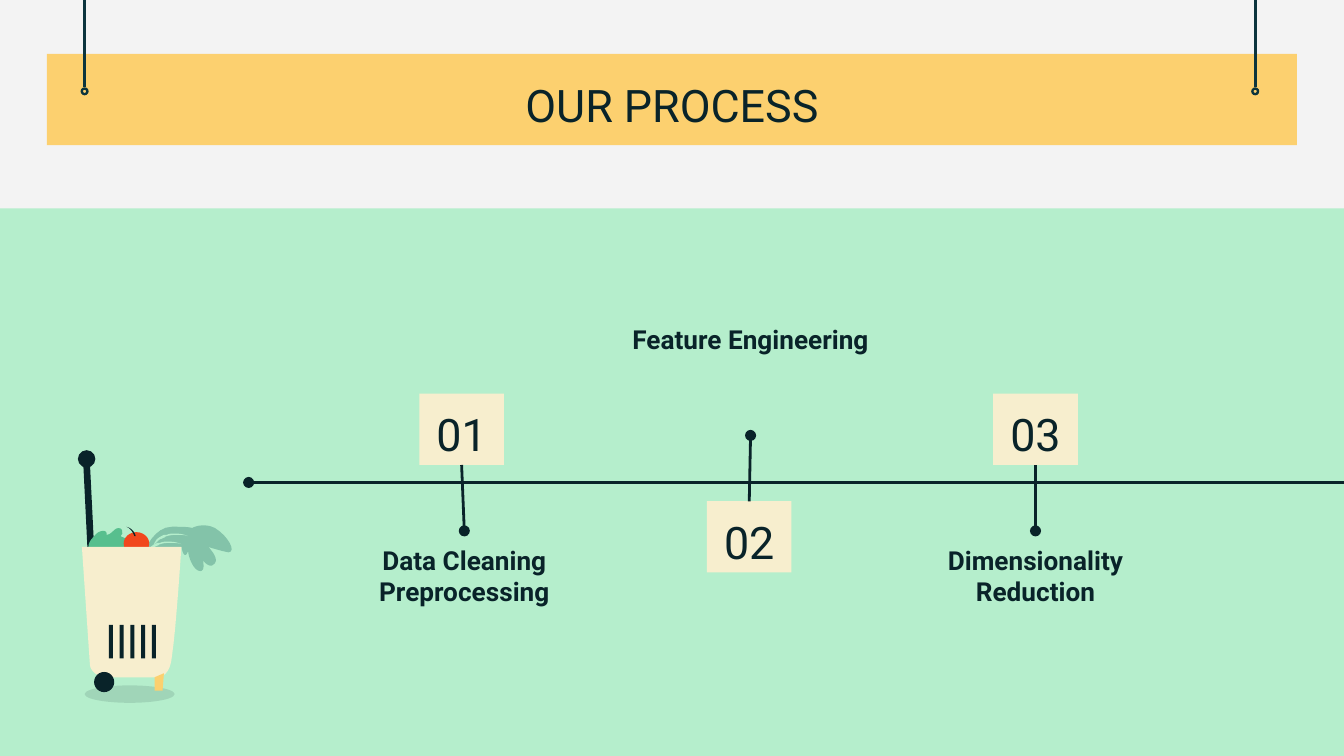
import dataclasses

import pptx
import pptx.dml.color
import pptx.enum.shapes
import pptx.enum.text
import pptx.oxml
import pptx.oxml.ns
import pptx.util

SHAPE = pptx.enum.shapes.MSO_SHAPE
ANCHOR = pptx.enum.text.MSO_ANCHOR
COLUMNS = 10  # square grid cells across the slide
WIDTH = pptx.util.Inches(10)
HEIGHT = WIDTH * 9 // 16
ROWS = COLUMNS * HEIGHT / WIDTH


@dataclasses.dataclass(frozen=True)
class Theme:
    paper: str = "F3F3F3"
    mint: str = "B5EECC"
    amber: str = "FCD06F"
    cream: str = "F7EECE"
    ink: str = "092329"
    cord: str = "0C343D"
    leek: str = "83C3A9"
    lettuce: str = "57BF8E"
    tomato: str = "F1471D"
    font: str = "Roboto"
    title_size: int = 24
    label_size: int = 14
    line_width: float = 1.5


THEME = Theme()

# Outlines: a pair is a straight step, six numbers are a cubic curve.
LEEK = [
    (1.51, 3.91), (1.46, 3.91, 1.43, 3.93, 1.43, 3.93),
    (1.43, 3.93, 1.42, 3.92, 1.31, 3.92), (1.3, 3.92, 1.29, 3.92, 1.28, 3.92),
    (1.15, 3.92, 1.08, 4.09, 1.08, 4.09), (1.08, 4.13, 1.1, 4.14, 1.13, 4.14),
    (1.18, 4.14, 1.25, 4.09, 1.25, 4.09), (1.25, 4.09, 1.31, 4.07, 1.35, 4.07),
    (1.36, 4.12, 1.37, 4.13, 1.38, 4.13), (1.39, 4.13, 1.4, 4.1, 1.4, 4.1),
    (1.4, 4.14, 1.44, 4.25, 1.49, 4.25), (1.53, 4.25, 1.51, 4.17, 1.51, 4.17),
    (1.51, 4.17, 1.54, 4.21, 1.57, 4.21), (1.58, 4.21, 1.59, 4.2, 1.6, 4.19),
    (1.63, 4.15, 1.55, 4.07, 1.55, 4.07), (1.55, 4.07, 1.64, 4.1, 1.7, 4.11),
    (1.76, 4.11, 1.7, 3.99, 1.6, 3.93), (1.56, 3.91, 1.53, 3.91, 1.51, 3.91),
]
LEEK_VEIN = [
    (1.3, 3.97), (1.28, 3.97, 1.26, 3.97, 1.24, 3.98),
    (1.23, 3.98, 1.22, 3.98, 1.22, 3.98), (1.2, 3.99),
    (1.18, 4, 1.17, 4.01, 1.16, 4.02), (1.16, 4.03, 1.15, 4.03, 1.15, 4.04),
    (1.14, 4.06), (1.13, 4.07, 1.12, 4.08, 1.12, 4.09),
    (1.13, 4.07, 1.15, 4.05, 1.17, 4.03), (1.18, 4.02, 1.19, 4.01, 1.2, 4.01),
    (1.22, 4), (1.23, 4, 1.23, 3.99, 1.24, 3.99),
    (1.27, 3.98, 1.29, 3.98, 1.32, 3.98), (1.35, 3.98, 1.38, 3.98, 1.4, 3.99),
    (1.38, 3.98, 1.35, 3.97, 1.3, 3.97),
]
LETTUCE = [
    (0.88, 3.93), (0.85, 3.93, 0.83, 3.98, 0.79, 3.98),
    (0.8, 3.97, 0.79, 3.95, 0.77, 3.95), (0.75, 3.95, 0.73, 3.96, 0.72, 3.97),
    (0.68, 4.01, 0.65, 4.04, 0.66, 4.09), (0.66, 4.1, 0.69, 4.14, 0.74, 4.15),
    (0.76, 4.15, 0.78, 4.15, 0.81, 4.15), (0.87, 4.15, 0.93, 4.14, 0.96, 4.11),
    (0.98, 4.09, 0.98, 4.05, 0.97, 4.03), (0.95, 4.01, 0.94, 4.01, 0.92, 4),
    (0.89, 3.99, 0.9, 3.99, 0.91, 3.97), (0.91, 3.95, 0.91, 3.93, 0.88, 3.93),
]
STALK = [
    (0.94, 3.92), (0.98, 3.93, 1, 3.99, 1, 3.99), (1.01, 3.99),
    (1.01, 3.98, 0.99, 3.93, 0.94, 3.92),
]
BASKET = [
    (0.61, 4.07), (0.67, 4.95), (0.67, 4.95, 0.68, 5.04, 0.81, 5.04),
    (1.17, 5.04), (1.2, 5.04, 1.27, 5.02, 1.28, 4.88),
    (1.31, 4.69, 1.35, 4.07, 1.35, 4.07),
]
HANDLE = [(0.62, 3.46), (0.65, 4.07), (0.7, 4.07), (0.67, 3.46)]
FOOT = [(1.22, 5.01), (1.15, 5.04), (1.15, 5.14), (1.21, 5.14)]


def cells(*counts):
    """Lengths for counts of grid cells."""
    return [round(n * WIDTH / COLUMNS) for n in counts]


def rgb(color):
    return pptx.dml.color.RGBColor.from_string(color)


def paint(sp, color, opacity=None):
    sp.shadow.inherit = False
    sp.fill.solid()
    sp.fill.fore_color.rgb = rgb(color)
    sp.line.fill.background()
    if opacity is not None:
        clr = sp._element.spPr.find(".//" + pptx.oxml.ns.qn("a:srgbClr"))
        add_child(clr, "alpha", val=str(opacity * 1000))
    return sp


def add_child(parent, tag, **attributes):
    child = pptx.oxml.parse_xml(f"<a:{tag} {pptx.oxml.ns.nsdecls('a')}/>")
    for name, value in attributes.items():
        child.set(name, value)
    parent.append(child)


def add_solid(shapes, kind, box, color, opacity=None):
    return paint(shapes.add_shape(kind, *cells(*box)), color, opacity)


def curve(start, bend, steps=8):
    """Points along a cubic curve, without its start."""
    corners = [start, bend[:2], bend[2:4], bend[4:]]
    for i in range(1, steps + 1):
        t = i / steps
        u = 1 - t
        weights = (u**3, 3 * u * u * t, 3 * u * t * t, t**3)
        yield tuple(sum(w * c[axis] for w, c in zip(weights, corners)) for axis in (0, 1))


def add_outline(shapes, outline, color, dx=0, dy=0):
    points = [outline[0]]
    for step in outline[1:]:
        points.extend([step] if len(step) == 2 else curve(points[-1], step))
    start, *rest = [cells(x + dx, y + dy) for x, y in points]
    builder = shapes.build_freeform(*start)
    builder.add_line_segments(rest, close=True)
    return paint(builder.convert_to_shape(), color)


def add_line(shapes, start, end, color, dot=False):
    """Straight line, with an optional dot at its start."""
    line = shapes.add_connector(
        pptx.enum.shapes.MSO_CONNECTOR.STRAIGHT, *cells(*start, *end))
    line.line.color.rgb = rgb(color)
    line.line.width = pptx.util.Pt(THEME.line_width)
    if dot:
        add_child(line.line._get_or_add_ln(), "headEnd", type="oval")
    add_child(line._element.spPr, "effectLst")
    return line


def write(sp, text, size, bold=False, anchor=ANCHOR.TOP):
    tf = sp.text_frame
    tf.word_wrap = True
    tf.vertical_anchor = anchor
    tf.margin_left = tf.margin_right = tf.margin_top = tf.margin_bottom = cells(0.1)[0]
    tf.text = text
    p = tf.paragraphs[0]
    p.alignment = pptx.enum.text.PP_ALIGN.CENTER
    font = p.runs[0].font
    font.name, font.size, font.bold = THEME.font, pptx.util.Pt(size), bold
    font.color.rgb = rgb(THEME.ink)


def add_banner(s):
    add_solid(s.shapes, SHAPE.RECTANGLE, (0.35, 0.4, COLUMNS - 0.7, 0.68), THEME.amber)
    for x in (0.63, COLUMNS - 0.66):
        add_line(s.shapes, (x, 0), (x, 0.65), THEME.cord)
        ring = add_solid(s.shapes, SHAPE.DONUT, (x - 0.03, 0.65, 0.06, 0.06), THEME.cord)
        ring.adjustments[0] = 0.3
    write(s.shapes.add_textbox(*cells(1.5, 0.46, 7, 0.63)), "OUR PROCESS",
          THEME.title_size, anchor=ANCHOR.MIDDLE)


def add_step(s, number, label, box_x, label_x, label_below):
    box_y, dot_y, label_y, side = (2.93, 3.95, 3.95, 2) if label_below else (3.73, 3.24, 2.31, 0)
    box_w, box_h, label_w = 0.63, 0.53, 2.37
    write(s.shapes.add_textbox(*cells(label_x, label_y, label_w, 0.87)), label,
          THEME.label_size, bold=True)
    box = add_solid(s.shapes, SHAPE.RECTANGLE, (box_x, box_y, box_w, box_h), THEME.cream)
    write(box, number, THEME.title_size)
    edge_y = box_y + box_h if label_below else box_y
    stem = add_line(s.shapes, (label_x + label_w / 2, dot_y),
                    (box_x + box_w / 2, edge_y), THEME.ink, dot=True)
    stem.end_connect(box, side)


def add_cart(s):
    cart = s.shapes.add_group_shape().shapes
    add_outline(cart, HANDLE, THEME.ink)
    add_outline(cart, LEEK, THEME.leek)
    for dx, dy in ((0, 0), (-0.05, 0.06)):
        add_outline(cart, LEEK_VEIN, THEME.mint, dx, dy)
    add_outline(cart, LETTUCE, THEME.lettuce)
    add_solid(cart, SHAPE.OVAL, (0.92, 3.96, 0.19, 0.17), THEME.tomato)
    add_outline(cart, STALK, THEME.ink)
    add_outline(cart, BASKET, THEME.cream)
    add_solid(cart, SHAPE.OVAL, (0.58, 3.35, 0.13, 0.13), THEME.ink)
    add_solid(cart, SHAPE.OVAL, (0.63, 5.1, 0.67, 0.13), THEME.ink, opacity=12)
    add_solid(cart, SHAPE.OVAL, (0.7, 5, 0.15, 0.15), THEME.ink)
    add_outline(cart, FOOT, THEME.amber)
    for i in range(5):
        add_solid(cart, SHAPE.RECTANGLE, (0.81 + 0.08 * i, 4.65, 0.03, 0.25), THEME.ink)


def main():
    prs = pptx.Presentation()
    prs.slide_width, prs.slide_height = WIDTH, HEIGHT
    s = prs.slides.add_slide(prs.slide_layouts[6])
    s.background.fill.solid()
    s.background.fill.fore_color.rgb = rgb(THEME.paper)
    add_solid(s.shapes, SHAPE.RECTANGLE, (0, 1.55, COLUMNS, ROWS - 1.55), THEME.mint)
    add_banner(s)
    steps = [
        ("01", "Data Cleaning Preprocessing", 3.12, 2.27, True),
        ("02", "Feature Engineering", 5.26, 4.4, False),
        ("03", "Dimensionality Reduction", 7.39, 6.52, True),
    ]
    for step in steps:
        add_step(s, *step)
    add_line(s.shapes, (1.85, 3.59), (COLUMNS, 3.59), THEME.ink, dot=True)
    add_cart(s)
    prs.save("out.pptx")


if __name__ == "__main__":
    main()
